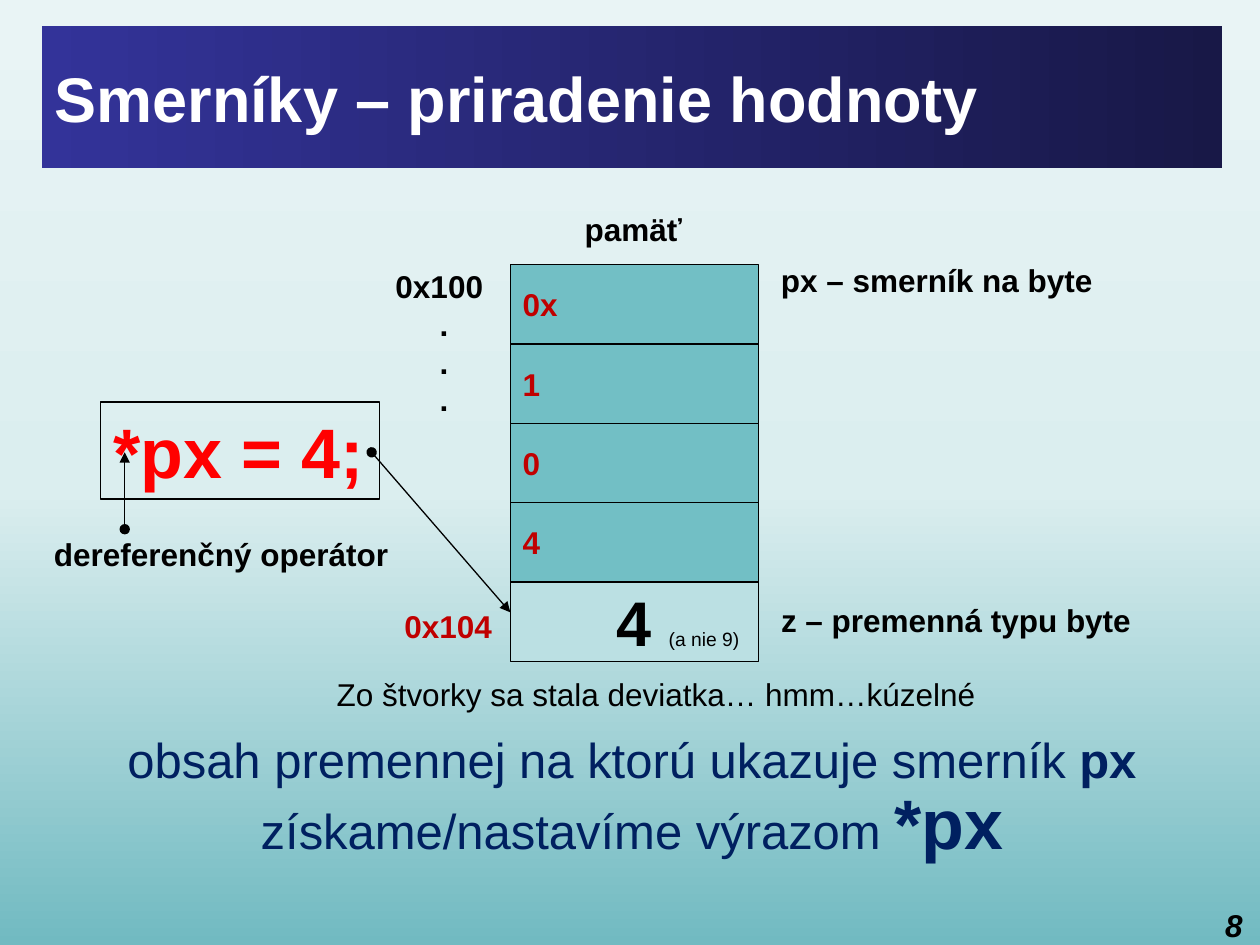
from collections import namedtuple

from lxml import etree
from pptx import Presentation
from pptx import util as u
from pptx.dml.color import RGBColor
from pptx.enum import shapes, text
from pptx.oxml import ns

BLACK = RGBColor(0, 0, 0)
WHITE = RGBColor(255, 255, 255)
RED = RGBColor(255, 0, 0)
DARK_RED = RGBColor(0xC0, 0, 0)
NAVY = RGBColor(0, 0x20, 0x60)
TEAL = RGBColor(0x72, 0xBF, 0xC5)
PALE_TEAL = RGBColor(0xBB, 0xE0, 0xE3)
BACKDROP = [(0, "71BAC1"), (48, "DBEEEF"), (100, "E9F4F5")]
BANNER = [(0, "333399"), (100, "181847")]

WIDTH, HEIGHT = 10, 7.5
LEFT, CENTER, RIGHT = (text.PP_ALIGN.LEFT, text.PP_ALIGN.CENTER,
                       text.PP_ALIGN.RIGHT)
Box = namedtuple("Box", "x y w h")  # inches


def emu(box):
    return [u.Inches(value) for value in box]


def set_gradient(fill, owner, stops, angle):
    fill.gradient()
    fill.gradient_angle = angle
    stop_list = owner.find(".//" + ns.qn("a:gsLst"))
    for old in list(stop_list):
        stop_list.remove(old)
    for share, color in stops:
        stop = etree.SubElement(stop_list, ns.qn("a:gs"), pos=str(share * 1000))
        etree.SubElement(stop, ns.qn("a:srgbClr"), val=color)


def set_frame(frame, **values):
    for name, value in values.items():
        setattr(frame, name, value)


def write(paragraph, words, align=LEFT, **changes):
    """Add one run to a paragraph."""
    paragraph.alignment = align
    run = paragraph.add_run()
    run.text = words
    style = dict(name="Arial", size=u.Pt(18), bold=True) | changes
    run.font.color.rgb = style.pop("color", BLACK)
    for name, value in style.items():
        setattr(run.font, name, value)


def label(slide, box, words="", wrap=False, **style):
    frame = slide.shapes.add_textbox(*emu(box)).text_frame
    frame.word_wrap = wrap
    if words:
        write(frame.paragraphs[0], words, **style)
    return frame


def framed(slide, box, fill=None):
    """Add an outlined rectangle and return its text frame."""
    cell = slide.shapes.add_shape(shapes.MSO_SHAPE.RECTANGLE, *emu(box))
    cell.shadow.inherit = False
    if fill is None:
        cell.fill.background()
    else:
        cell.fill.solid()
        cell.fill.fore_color.rgb = fill
    cell.line.color.rgb = BLACK
    cell.line.width = u.Pt(0.75)
    return cell.text_frame


def arrow(slide, start, end):
    line = slide.shapes.add_connector(shapes.MSO_CONNECTOR.STRAIGHT,
                                      *emu(start + end))
    line.line.color.rgb = BLACK
    line.line.width = u.Pt(0.75)
    outline = line.line._get_or_add_ln()
    etree.SubElement(outline, ns.qn("a:headEnd"), type="oval")
    etree.SubElement(outline, ns.qn("a:tailEnd"), type="triangle")
    etree.SubElement(outline.getparent(), ns.qn("a:effectLst"))


def banner(slide, box):
    title = slide.shapes.title
    title.left, title.top, title.width, title.height = emu(box)
    set_gradient(title.fill, title.element, BANNER, 0)
    set_frame(title.text_frame, word_wrap=True,
              vertical_anchor=text.MSO_ANCHOR.MIDDLE,
              auto_size=text.MSO_AUTO_SIZE.NONE)
    write(title.text_frame.paragraphs[0], "Smerníky – priradenie hodnoty",
          size=u.Pt(36), color=WHITE)


def addresses(slide, box):
    """Addresses beside the memory, with dots for those between."""
    pitch = u.Pt(21.6)
    frame = label(slide, box, wrap=True)
    lines = [("0x100", 0, BLACK)] + [(".", 0.35, BLACK)] * 3
    lines.append(("0x104", 0.07, DARK_RED))
    for index, (words, indent, color) in enumerate(lines):
        paragraph = frame.add_paragraph() if index else frame.paragraphs[0]
        paragraph.line_spacing = pitch
        paragraph._p.get_or_add_pPr().set("marL", str(u.Inches(indent)))
        write(paragraph, words, color=color)
    paragraph.space_before = 5 * pitch


def memory(slide, box):
    """Five stacked cells with their heading, addresses and notes."""
    pointer_parts = ["0x", "1", "0", "4"]
    row = box.h / (len(pointer_parts) + 1)
    cells = [Box(box.x, box.y + i * row, box.w, row)
             for i in range(len(pointer_parts) + 1)]
    addresses(slide, Box(box.x - 1.01, box.y - 0.03, 1.02, box.h + 0.28))
    for cell, part in zip(cells, pointer_parts):
        frame = framed(slide, cell, TEAL)
        set_frame(frame, word_wrap=True, vertical_anchor=text.MSO_ANCHOR.MIDDLE)
        write(frame.paragraphs[0], part, color=DARK_RED)

    # Variable z
    frame = framed(slide, cells[-1], PALE_TEAL)
    set_frame(frame, word_wrap=True, margin_right=u.Inches(0.15),
              vertical_anchor=text.MSO_ANCHOR.MIDDLE)
    write(frame.paragraphs[0], "4 ", RIGHT, size=u.Pt(36))
    write(frame.paragraphs[0], "(a nie 9)", RIGHT, size=u.Pt(11), bold=False)

    # Heading and notes
    label(slide, Box(box.x + box.w / 4, box.y - 0.48, box.w / 2, 0.4), "pamäť")
    notes_x = box.x + box.w + 0.08
    label(slide, Box(notes_x, box.y - 0.08, 2.7, 0.4), "px – smerník na byte")
    label(slide, Box(notes_x, cells[-1].y + 0.1, 3.01, 0.4),
          "z – premenná typu byte")
    return cells[-1]


def assignment(slide, box, target):
    """The statement, its operator note and the arrow to the target cell."""
    frame = framed(slide, box)
    set_frame(frame, word_wrap=False, vertical_anchor=text.MSO_ANCHOR.TOP)
    write(frame.paragraphs[0], "*px = 4;", size=u.Pt(40), color=RED)
    note = Box(box.x - 0.47, box.y + 1.01, 2.88, 0.4)
    label(slide, note, "dereferenčný operátor")
    star_x, middle = box.x + 0.19, box.y + 0.4
    arrow(slide, (star_x, note.y), (star_x, middle))
    arrow(slide, (box.x + box.w - 0.06, middle), (target.x, target.y + 0.24))


def conclusion(slide, box):
    label(slide, Box(box.x + 2.24, box.y - 0.48, 5.28, 0.4),
          "Zo štvorky sa stala deviatka… hmm…kúzelné", bold=False)
    paragraph = label(slide, box, wrap=True).paragraphs[0]
    paragraph.line_spacing = 0.9
    for words, size, bold in [
            ("obsah premennej na ktorú ukazuje smerník ", 28, False),
            ("px", 28, True),
            (" získame/nastavíme výrazom ", 28, False),
            ("*px", 40, True)]:
        write(paragraph, words, CENTER, size=u.Pt(size), bold=bold, color=NAVY)


def main():
    deck = Presentation()
    deck.slide_width, deck.slide_height = u.Inches(WIDTH), u.Inches(HEIGHT)
    slide = deck.slides.add_slide(deck.slide_layouts.get_by_name("Title Only"))
    set_gradient(slide.background.fill, slide.element, BACKDROP, 90)
    margin = WIDTH / 30
    content_w = WIDTH - 2 * margin + 0.03
    banner(slide, Box(margin, 0.21, content_w, 0.15 * HEIGHT))
    target = memory(slide, Box(4.05, 0.28 * HEIGHT, 1.97, 0.42 * HEIGHT))
    assignment(slide, Box(0.08 * WIDTH, 3.19, 2.21, 0.77), target)
    conclusion(slide, Box(margin, 5.79, content_w, 0.15 * HEIGHT))
    label(slide, Box(WIDTH - 0.57, HEIGHT - 0.36, 0.53, 0.31), "8", wrap=True,
          align=RIGHT, italic=True)
    deck.save("out.pptx")


if __name__ == "__main__":
    main()
